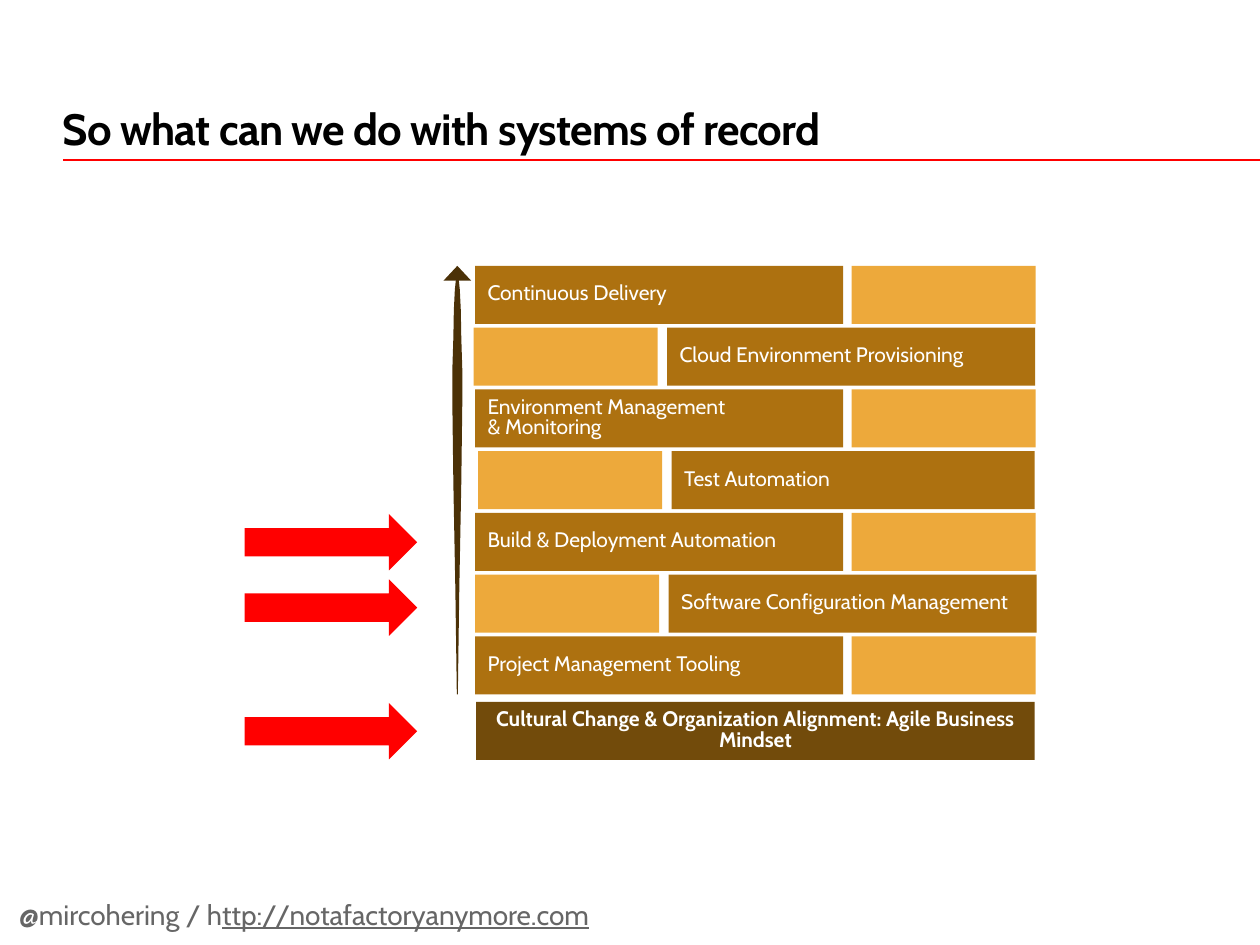
import pptx
import pptx.util
import pptx.dml.color
import pptx.enum.shapes
import pptx.enum.text
import lxml.etree
from pptx.oxml.ns import qn

Cm = pptx.util.Cm
Pt = pptx.util.Pt
RGBColor = pptx.dml.color.RGBColor
SHAPE = pptx.enum.shapes.MSO_SHAPE
ANCHOR = pptx.enum.text.MSO_ANCHOR
ALIGN = pptx.enum.text.PP_ALIGN

RED = RGBColor(0xFF, 0x00, 0x00)
BLACK = RGBColor(0x00, 0x00, 0x00)
WHITE = RGBColor(0xFF, 0xFF, 0xFF)
GREY = RGBColor(0x66, 0x66, 0x66)
BROWN = RGBColor(0xAD, 0x71, 0x10)
AMBER = RGBColor(0xED, 0xA9, 0x3B)
DARK = RGBColor(0x72, 0x4B, 0x0B)
UMBER = RGBColor(0x4B, 0x31, 0x07)
FONT = "Cabin"

TITLE = "So what can we do with systems of record"
FOOTER = [("@mircohering / h", False), ("ttp://notafactoryanymore.com", True)]
BASE = ["Cultural Change & Organization Alignment: Agile Business Mindset"]

LEFT_BRICK, LEFT_GAP = (9.58, 7.42), (17.17, 3.71)
ROWS = [
    (["Continuous Delivery"], LEFT_BRICK, LEFT_GAP),
    (["Cloud Environment Provisioning"], (13.45, 7.42), (9.55, 3.71)),
    (["Environment Management ", "& Monitoring"], LEFT_BRICK, LEFT_GAP),
    (["Test Automation"], (13.54, 7.32), (9.64, 3.71)),
    (["Build & Deployment Automation"], LEFT_BRICK, LEFT_GAP),
    (["Software Configuration Management"], (13.48, 7.42), (9.58, 3.71)),
    (["Project Management Tooling"], LEFT_BRICK, LEFT_GAP),
]
FIRST_TOP, LAST_TOP, BASE_TOP, BRICK_H = 5.36, 12.83, 14.15, 1.17
PITCH = (LAST_TOP - FIRST_TOP) / (len(ROWS) - 1)

POINTER_TOPS = [10.36, 11.68, 14.17]
AXIS_X = 9.22
HEAD = [(5.36, 0), (5.66, 0.28)]
SHAFT = [(5.46, 0.01), (5.84, 0.05), (6.25, 0.07), (6.81, 0.08), (7.44, 0.1),
         (8.15, 0.1), (9.73, 0.08), (11.86, 0.04), (14, 0.01)]

prs = pptx.Presentation()
prs.slide_width, prs.slide_height = Cm(25.4), Cm(19.05)
s = prs.slides.add_slide(prs.slide_layouts[6])


def add_run(p, text, size, color, bold=False, underline=None):
    r = p.add_run()
    r.text = text
    r.font.name, r.font.size = FONT, Pt(size)
    r.font.bold, r.font.underline = bold, underline
    r.font.color.rgb = color
    return r


def paint(sp, color):
    sp.shadow.inherit = False
    sp.fill.solid()
    sp.fill.fore_color.rgb = color
    sp.line.fill.background()


def add_block(shape, x, y, w, h, color):
    sp = s.shapes.add_shape(shape, Cm(x), Cm(y), Cm(w), Cm(h))
    paint(sp, color)
    return sp


def add_brick(x, y, w, color, lines=(), bold=False, align=ALIGN.LEFT):
    tf = add_block(SHAPE.RECTANGLE, x, y, w, BRICK_H, color).text_frame
    tf.word_wrap = True
    tf.vertical_anchor = ANCHOR.MIDDLE
    p = tf.paragraphs[0]
    p.alignment, p.line_spacing = align, 0.8
    for i, line in enumerate(lines):
        if i:
            p.add_line_break()
        add_run(p, line, 12, WHITE, bold)


def add_mirrored(profile):
    right = [(Cm(AXIS_X + half), Cm(y)) for y, half in profile]
    left = [(Cm(AXIS_X - half), Cm(y)) for y, half in reversed(profile)]
    outline = right + left
    builder = s.shapes.build_freeform(*outline[0])
    builder.add_line_segments(outline[1:], close=True)
    paint(builder.convert_to_shape(), UMBER)


def add_text(x, y, w, h, anchor):
    tf = s.shapes.add_textbox(Cm(x), Cm(y), Cm(w), Cm(h)).text_frame
    tf.word_wrap = True
    tf.vertical_anchor = anchor
    tf.margin_left = tf.margin_right = tf.margin_bottom = 0
    return tf.paragraphs[0]


rule = s.shapes.add_connector(pptx.enum.shapes.MSO_CONNECTOR.STRAIGHT,
                              Cm(1.27), Cm(3.22), Cm(25.4), Cm(3.22))
rule.line.color.rgb, rule.line.width = RED, Pt(1)
lxml.etree.SubElement(rule.line._get_or_add_ln().getparent(), qn("a:effectLst"))

p = add_text(1.27, 0.33, 22.86, 2.79, ANCHOR.BOTTOM)
r = add_run(p, TITLE, 25, BLACK, bold=True)
r.font._element.set("spc", "-40")

add_mirrored(SHAFT)
add_mirrored(HEAD)

for i, (lines, (x, w), (gap_x, gap_w)) in enumerate(ROWS):
    y = FIRST_TOP + i * PITCH
    add_brick(x, y, w, BROWN, lines)
    add_brick(gap_x, y, gap_w, AMBER)
add_brick(9.6, BASE_TOP, 11.26, DARK, BASE, bold=True, align=ALIGN.CENTER)

for y in POINTER_TOPS:
    add_block(SHAPE.RIGHT_ARROW, 4.93, y, 3.48, 1.14, RED)

p = add_text(0.38, 17.96, 23.39, 1.09, ANCHOR.TOP)
for text, underline in FOOTER:
    add_run(p, text, 16, GREY, underline=underline)

prs.save("out.pptx")
